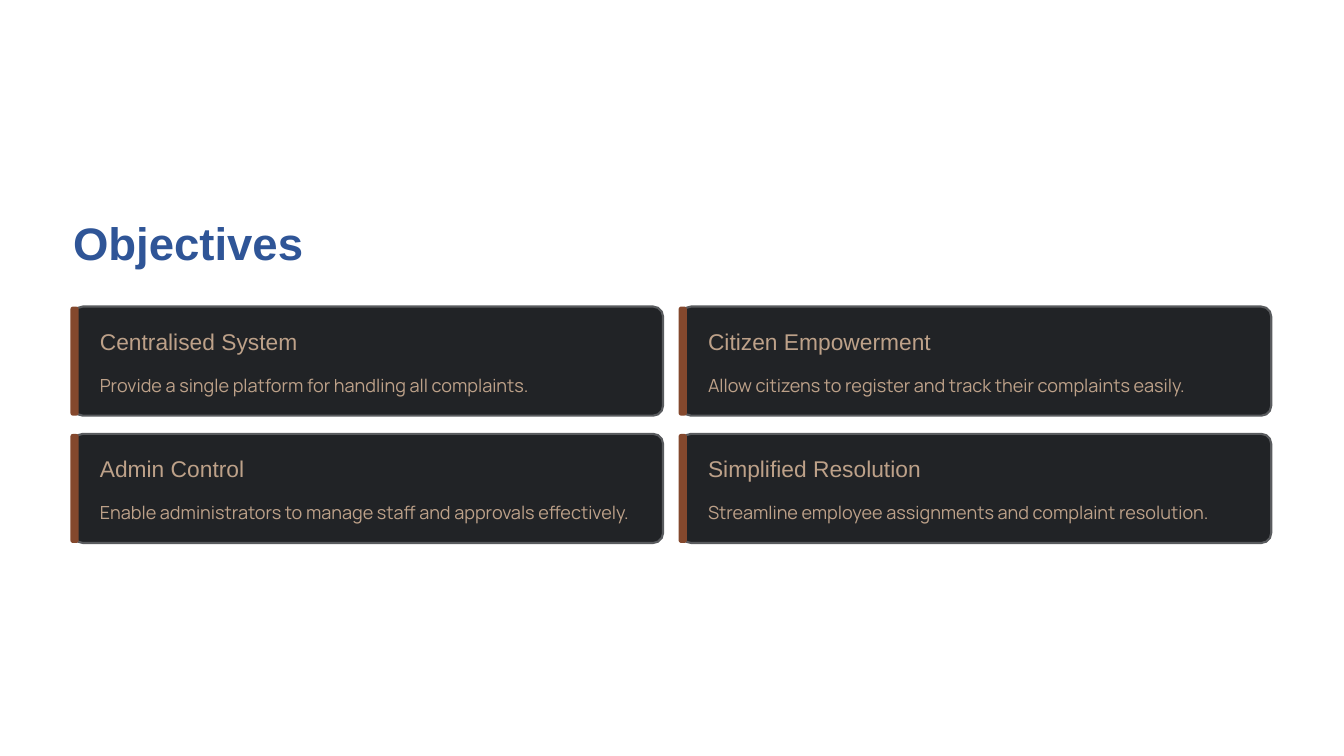
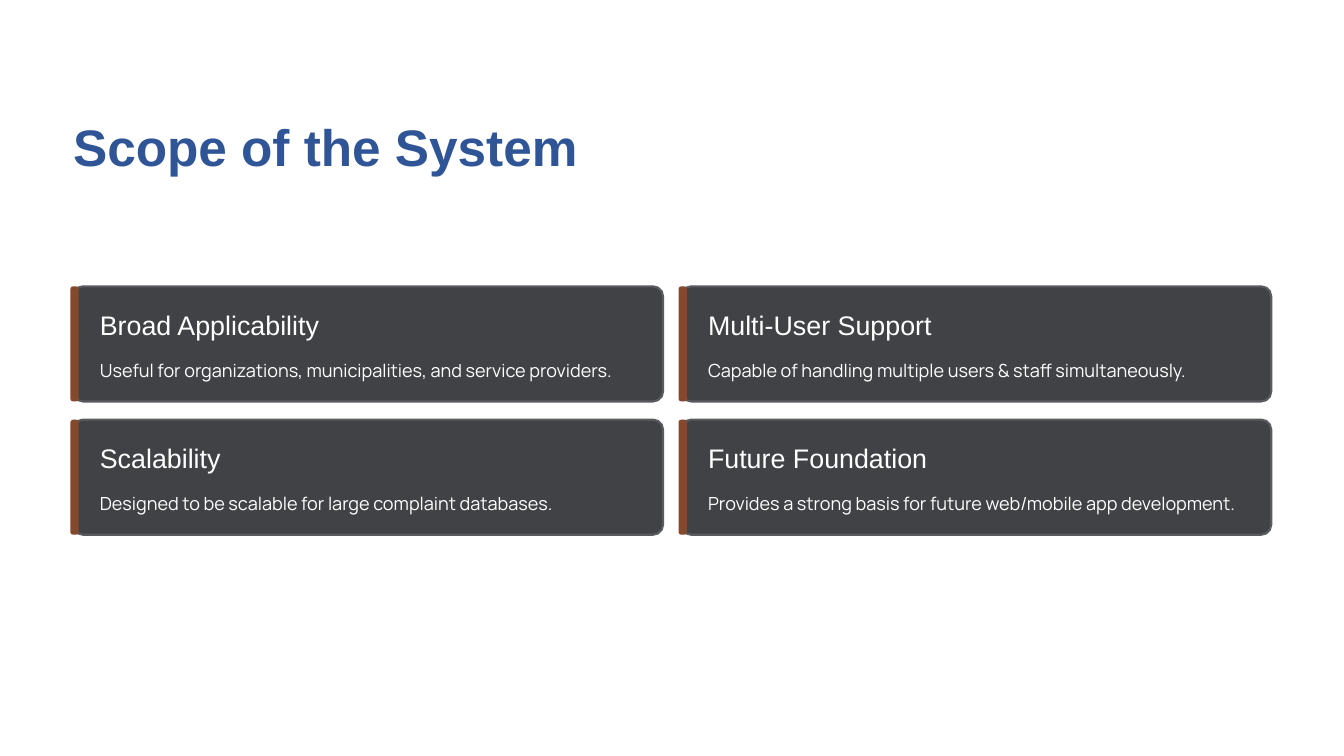
from pptx import Presentation
from pptx.dml.color import RGBColor
from pptx.enum.shapes import MSO_SHAPE
from pptx.enum.text import MSO_ANCHOR, MSO_AUTO_SIZE, PP_ALIGN
from pptx.util import Cm, Pt

# Shared look
BLUE = RGBColor(0x2F, 0x55, 0x97)
RUST = RGBColor(0x84, 0x48, 0x2D)
BORDER = RGBColor(0x59, 0x5B, 0x5E)
CHARCOAL = RGBColor(0x21, 0x23, 0x26)
GREY = RGBColor(0x40, 0x42, 0x45)
SAND = RGBColor(0xBD, 0xA1, 0x89)
WHITE = RGBColor(0xFF, 0xFF, 0xFF)
HEADING_FONT, BODY_FONT = "Arial", "Manrope"

# Shared card grid, in centimetres
LEFT, CARD_WIDTH, GAP = 2.21, 17.84, 0.55
CORNER, BAR_WIDTH, BAR_OVERHANG, TEXT_INDENT = 0.30, 0.25, 0.08, 0.81

SLIDES = [
    {
        "title": "Objectives",
        "title_box": (6.43, 13.79, 1.73), "title_size": 39, "title_spacing": 48.5,
        "top": 9.27, "height": 3.3, "fill": CHARCOAL, "color": SAND,
        "heading_offset": 0.62, "heading_height": 0.86,
        "heading_size": 19.5, "heading_spacing": 24, "body_offset": 1.82,
        "cards": [
            ("Centralised System", "Provide a single platform for handling all complaints."),
            ("Citizen Empowerment", "Allow citizens to register and track their complaints easily."),
            ("Admin Control", "Enable administrators to manage staff and approvals effectively."),
            ("Simplified Resolution", "Streamline employee assignments and complaint resolution."),
        ],
    },
    {
        "title": "Scope of the System",
        "title_box": (4.5, 15.34, 2.01), "title_size": 44, "title_spacing": 24,
        "top": 8.66, "height": 3.48, "fill": GREY, "color": WHITE,
        "heading_offset": 0.61, "heading_height": 1.04,
        "heading_size": 23, "heading_spacing": 29, "body_offset": 1.97,
        "cards": [
            ("Broad Applicability", "Useful for organizations, municipalities, and service providers."),
            ("Multi-User Support", "Capable of handling multiple users & staff simultaneously."),
            ("Scalability", "Designed to be scalable for large complaint databases."),
            ("Future Foundation", "Provides a strong basis for future web/mobile app development."),
        ],
    },
]


def write_text(shape, text, size, spacing, color, font=HEADING_FONT, bold=False):
    frame = shape.text_frame
    frame.margin_left = frame.margin_right = frame.margin_top = frame.margin_bottom = 0
    frame.word_wrap = False
    frame.auto_size = MSO_AUTO_SIZE.NONE
    frame.vertical_anchor = MSO_ANCHOR.TOP
    paragraph = frame.paragraphs[0]
    paragraph.alignment = PP_ALIGN.LEFT
    paragraph.line_spacing = Pt(spacing)
    run = paragraph.add_run()
    run.text = text
    run.font.name = font
    run.font.size = Pt(size)
    run.font.bold = bold
    run.font.color.rgb = color


def add_panel(slide, left, top, width, height, adjustment, fill, line=None):
    shape = slide.shapes.add_shape(
        MSO_SHAPE.ROUNDED_RECTANGLE, Cm(left), Cm(top), Cm(width), Cm(height))
    shape.adjustments[0] = adjustment
    shape.shadow.inherit = False
    shape.fill.solid()
    shape.fill.fore_color.rgb = fill
    if line is None:
        shape.line.fill.background()
    else:
        shape.line.color.rgb = line
        shape.line.width = Pt(1.8)


presentation = Presentation()
presentation.slide_width = Cm(40.64)
presentation.slide_height = Cm(22.86)
title_only = presentation.slide_layouts[5]

for content in SLIDES:
    slide = presentation.slides.add_slide(title_only)

    # Title
    title = slide.shapes.title
    title_top, title_width, title_height = content["title_box"]
    title.left, title.top = Cm(LEFT), Cm(title_top)
    title.width, title.height = Cm(title_width), Cm(title_height)
    write_text(title, content["title"], size=content["title_size"],
               spacing=content["title_spacing"], color=BLUE, bold=True)

    # Two by two grid of cards
    height = content["height"]
    for index, (heading, body) in enumerate(content["cards"]):
        row, column = divmod(index, 2)
        left = LEFT + column * (CARD_WIDTH + GAP)
        top = content["top"] + row * (height + GAP)

        # Card and accent bar
        add_panel(slide, left, top, CARD_WIDTH, height, CORNER / height,
                  fill=content["fill"], line=BORDER)
        add_panel(slide, left - BAR_OVERHANG, top, BAR_WIDTH, height, 0.33, fill=RUST)

        # Heading and description
        text_left = Cm(left + TEXT_INDENT)
        heading_box = slide.shapes.add_textbox(
            text_left, Cm(top + content["heading_offset"]),
            Cm(8), Cm(content["heading_height"]))
        write_text(heading_box, heading, size=content["heading_size"],
                   spacing=content["heading_spacing"], color=content["color"])
        body_box = slide.shapes.add_textbox(
            text_left, Cm(top + content["body_offset"]), Cm(16.41), Cm(0.89))
        write_text(body_box, body, size=15.5, spacing=25,
                   color=content["color"], font=BODY_FONT)

presentation.save("out.pptx")
